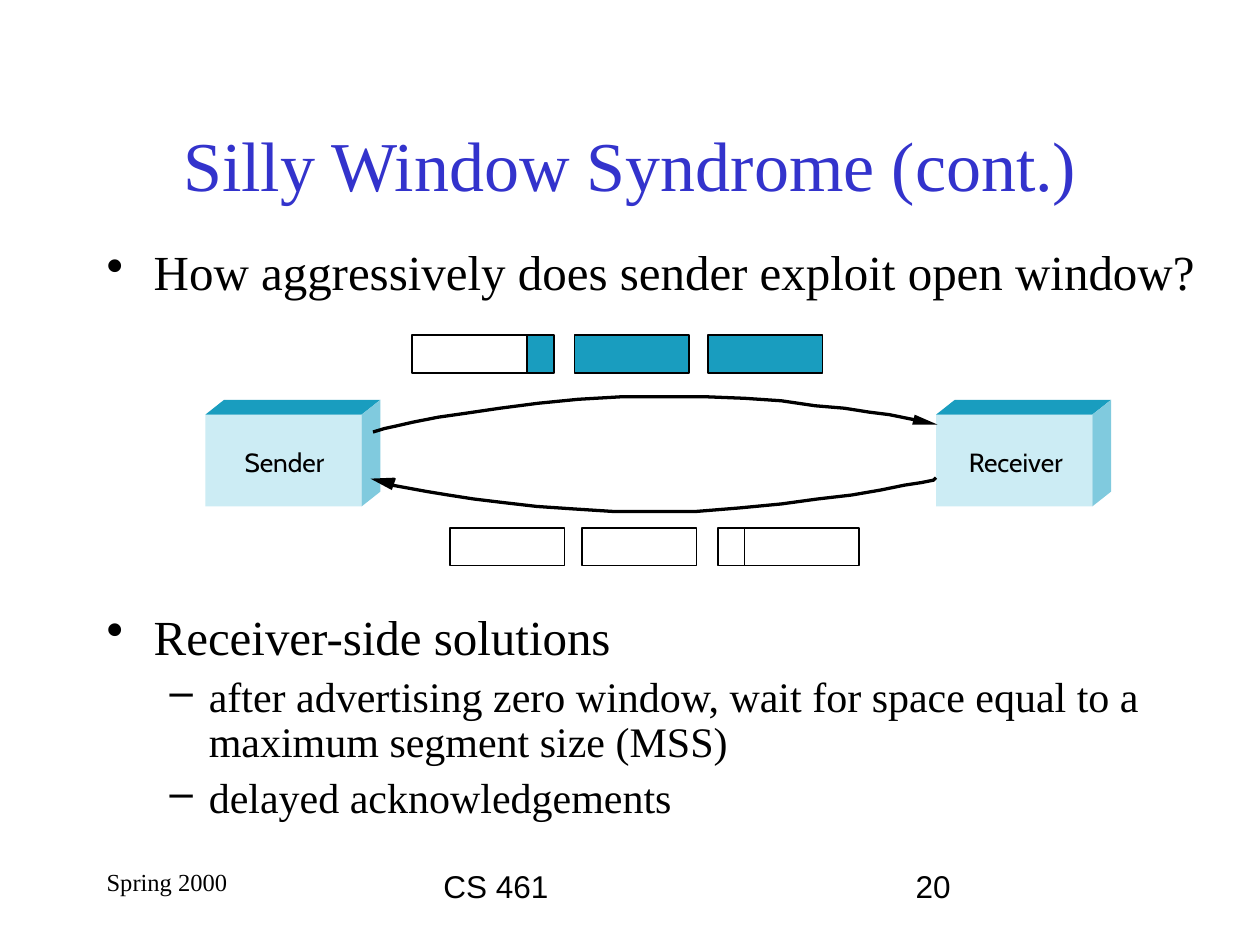
import pptx
import pptx.dml.color
import pptx.enum.shapes
import pptx.enum.text
import pptx.oxml
import pptx.oxml.ns
import pptx.util
from pptx.util import Cm

SERIF = "Times New Roman"
BLACK, WHITE, TEAL = "000000", "FFFFFF", "199DBF"
FRONT, SIDE = "CCECF4", "80CADE"
SEGMENT_WIDTH, SEGMENT_HEIGHT = 2.31, 0.76
DATA_ARC = [
    (7.52, 8.71), (7.75, 8.64), (7.98, 8.59), (8.33, 8.51), (8.84, 8.41), (9.4, 8.33),
    (10.08, 8.23), (10.85, 8.13), (11.66, 8.05), (12.52, 8), (14.25, 8), (15.01, 8.03),
    (15.75, 8.08), (16.43, 8.18), (17.02, 8.23), (17.53, 8.31), (17.93, 8.36), (18.52, 8.48),
]
DATA_HEAD = [(18.39, 8.56), (18.9, 8.56), (18.44, 8.36)]
WINDOW_ARC = [
    (18.87, 9.63), (18.82, 9.68), (18.57, 9.73), (18.24, 9.78), (17.75, 9.88), (17.17, 9.98),
    (16.48, 10.06), (15.75, 10.16), (14.91, 10.24), (14.05, 10.31), (12.34, 10.31), (11.56, 10.26),
    (10.82, 10.21), (10.13, 10.13), (9.55, 10.06), (9.04, 9.98), (8.61, 9.91), (7.9, 9.78),
]
WINDOW_HEAD = [(7.95, 9.63), (7.47, 9.65), (7.9, 9.88), (7.98, 9.65)]


def color(value):
    """Turn a hex string into a colour."""
    return pptx.dml.color.RGBColor.from_string(value)


def style_font(paragraph, size, name=SERIF, fill=BLACK):
    """Set the font of a whole paragraph."""
    paragraph.font.size = pptx.util.Pt(size)
    paragraph.font.name = name
    paragraph.font.color.rgb = color(fill)


def style_shape(shape, fill=None, line=None, width=1):
    """Give a shape a flat fill and outline, or none."""
    shape.shadow.inherit = False
    if fill:
        shape.fill.solid()
        shape.fill.fore_color.rgb = color(fill)
    else:
        shape.fill.background()
    if line:
        shape.line.color.rgb = color(line)
        shape.line.width = pptx.util.Pt(width)
    else:
        shape.line.fill.background()


def add_rectangle(slide, left, top, width, height, fill=None, line=None):
    """Add a plain rectangle measured in centimetres."""
    kind = pptx.enum.shapes.MSO_SHAPE.RECTANGLE
    shape = slide.shapes.add_shape(kind, Cm(left), Cm(top), Cm(width), Cm(height))
    style_shape(shape, fill, line)


def add_outline(slide, points, close=True, **style):
    """Add a freeform through points given in centimetres."""
    first, *others = [(Cm(x), Cm(y)) for x, y in points]
    builder = slide.shapes.build_freeform(*first)
    builder.add_line_segments(others, close=close)
    style_shape(builder.convert_to_shape(), **style)


def add_label(slide, text, left, top, width, height, size, font, margins=True):
    """Add a text box holding one line."""
    frame = slide.shapes.add_textbox(Cm(left), Cm(top), Cm(width), Cm(height)).text_frame
    frame.word_wrap = margins
    if not margins:
        frame.margin_left = frame.margin_right = frame.margin_top = frame.margin_bottom = 0
    frame.text = text
    style_font(frame.paragraphs[0], size, font)


def add_host(slide, name, left, label_left, label_width):
    """Add a three-dimensional host block with its name."""
    top, width, height, shift, rise = 8.36, 3.15, 1.85, 0.38, 0.3
    right, bottom = left + width, top + height
    back = [(right + shift, top - rise), (right, top)]
    add_rectangle(slide, left, top, width, height, FRONT)
    add_outline(slide, [(left, top), *back[::-1], (left + shift, top - rise)], fill=TEAL)
    add_outline(slide, [*back, (right, bottom), (right + shift, bottom - rise)], fill=SIDE)
    add_label(slide, name, label_left, 8.99, label_width, 0.64, 15, "Cabin", margins=False)


def add_arrow(slide, arc, head):
    """Add a curved arrow with its head."""
    add_outline(slide, arc, close=False, line=BLACK, width=1.87)
    add_outline(slide, head, fill=BLACK)


def add_segment(slide, left, top, fill, width=SEGMENT_WIDTH):
    """Add one outlined buffer segment."""
    add_rectangle(slide, left, top, width, SEGMENT_HEIGHT, fill, BLACK)


def set_bullet(paragraph, character, margin, indent):
    """Give a paragraph a bullet with a hanging indent."""
    properties = paragraph._p.get_or_add_pPr()
    properties.set("marL", str(Cm(margin)))
    properties.set("indent", str(Cm(-indent)))
    bullet = pptx.oxml.parse_xml(
        f'<a:buChar {pptx.oxml.ns.nsdecls("a")} char="{character}"/>')
    properties.append(bullet)


def add_title(slide, text):
    """Place and format the title."""
    title = slide.shapes.title
    title.left, title.top, title.width, title.height = Cm(1.9), Cm(1.7), Cm(21.59), Cm(3.18)
    title.text_frame.text = text
    title.text_frame.vertical_anchor = pptx.enum.text.MSO_ANCHOR.MIDDLE
    paragraph = title.text_frame.paragraphs[0]
    paragraph.alignment = pptx.enum.text.PP_ALIGN.CENTER
    style_font(paragraph, 40, fill="3333CC")


def add_body(slide):
    """Add the bullet text, leaving room for the diagram."""
    frame = slide.shapes.add_textbox(Cm(1.9), Cm(4.88), Cm(22.53), Cm(12.5)).text_frame
    frame.word_wrap = True
    items = [
        ("How aggressively does sender exploit open window?", 0, 0),
        ("Receiver-side solutions", 0, 178),
        ("after advertising zero window, wait for space equal to a "
         "maximum segment size (MSS)", 1, 6),
        ("delayed acknowledgements", 1, 6),
    ]
    levels = [("•", 0.95, 0.95, 28), ("–", 2.06, 0.79, 24)]
    for index, (text, level, space) in enumerate(items):
        paragraph = frame.add_paragraph() if index else frame.paragraphs[0]
        character, margin, indent, size = levels[level]
        paragraph.text = text
        paragraph.level = level
        set_bullet(paragraph, character, margin, indent)
        paragraph.line_spacing = 0.9
        paragraph.space_before = pptx.util.Pt(space)
        style_font(paragraph, size)


def add_diagram(slide):
    """Add the hosts, the arrows and the segments in flight."""
    add_host(slide, "Sender", 4.14, 4.93, 1.75)
    add_host(slide, "Receiver", 18.87, 19.53, 2.11)
    add_arrow(slide, DATA_ARC, DATA_HEAD)
    add_arrow(slide, WINDOW_ARC, WINDOW_HEAD)
    data_top, window_top, sliver = 6.76, 10.64, 0.55
    add_segment(slide, 10.62, data_top, TEAL, sliver)
    for left in (11.58, 14.27):
        add_segment(slide, left, data_top, TEAL)
    add_segment(slide, 8.31, data_top, WHITE)
    add_segment(slide, 14.48, window_top, None, sliver)
    for left in (9.07, 11.73, 15.01):
        add_segment(slide, left, window_top, WHITE)


def main():
    """Build the slide and save it."""
    presentation = pptx.Presentation()
    presentation.slide_width, presentation.slide_height = Cm(25.4), Cm(19.05)
    slide = presentation.slides.add_slide(presentation.slide_layouts[5])
    add_title(slide, "Silly Window Syndrome (cont.)")
    add_body(slide)
    add_diagram(slide)
    for text, left, width, size, font in [
        ("Spring 2000", 1.9, 5.28, 14, SERIF),
        ("CS 461", 8.69, 8.05, 18, "Arial"),
        ("20", 18.21, 5.28, 18, "Arial"),
    ]:
        add_label(slide, text, left, 17.35, width, 1.27, size, font)
    presentation.save("out.pptx")


if __name__ == "__main__":
    main()
